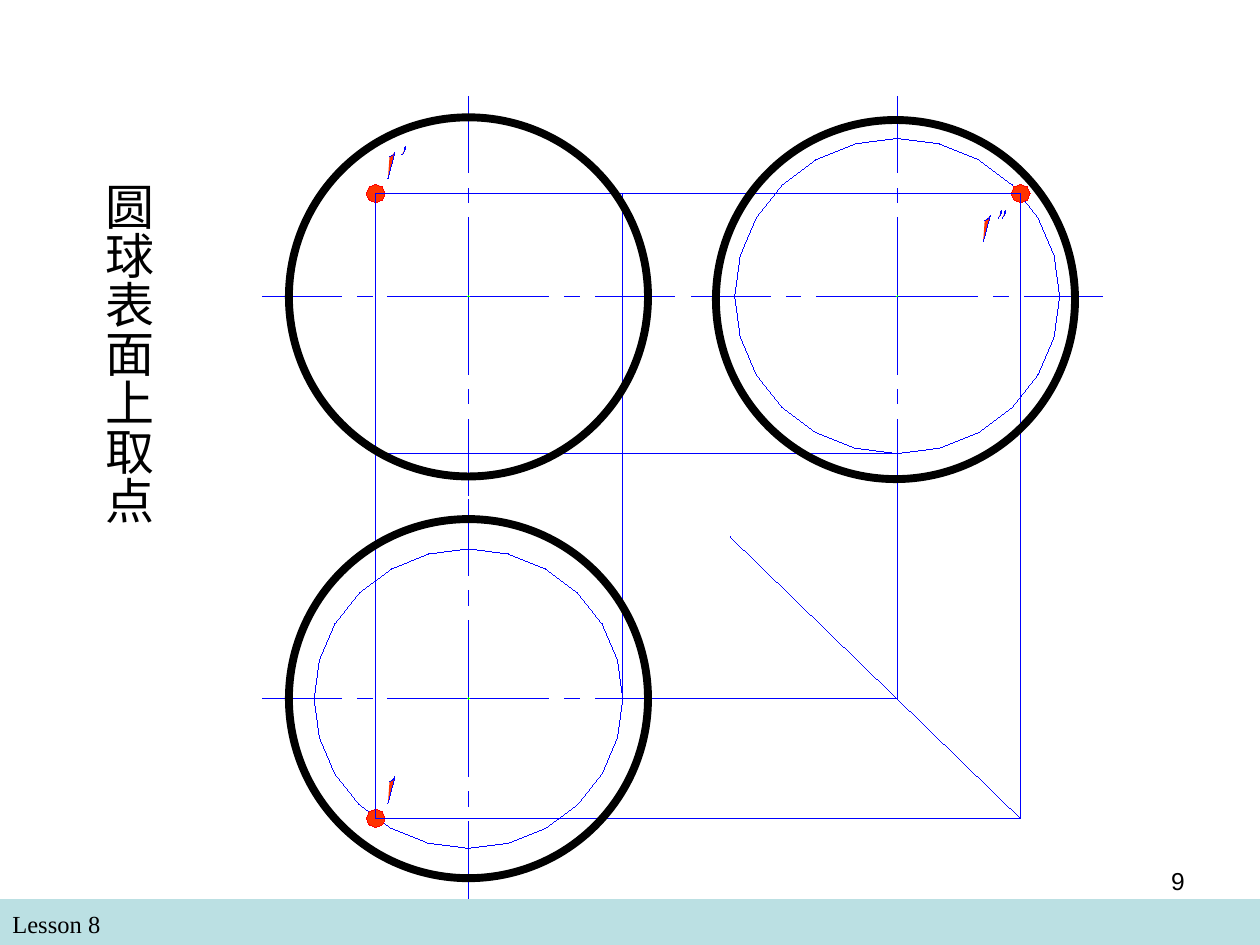
from collections import namedtuple
from dataclasses import dataclass
from math import cos, hypot, pi, sin

from lxml.etree import SubElement
from pptx import Presentation
from pptx.dml.color import RGBColor as RGB
from pptx.enum.shapes import MSO_CONNECTOR as Connector, MSO_SHAPE as Shape
from pptx.enum.text import PP_ALIGN as Align
from pptx.oxml.ns import qn
from pptx.util import Pt

Box = namedtuple("Box", "left top width height")
Point = namedtuple("Point", "x y")


@dataclass(frozen=True)
class Theme:
    band: RGB = RGB(0xBB, 0xE0, 0xE3)
    ink: RGB = RGB(0, 0, 0)
    thin: RGB = RGB(0, 0, 0xFF)
    centre: RGB = RGB(0, 0xFF, 0)
    mark: RGB = RGB(0xFF, 0x33, 0)
    mark_edge: RGB = RGB(0xFF, 0, 0)
    hairline: float = 0.01     # a width of 0 would not be written
    outline: float = 4.5
    small: float = 14
    title: float = 28
    sans: str = "Arial"
    serif: str = "Times New Roman"


THEME = Theme()

# Geometry of the sphere views
ASPECT = 0.97                  # vertical scale against horizontal
RADIUS = 102.6
AXIS_REACH = 117.5
DASHES = [(1, 46), (55, 63.5), (72.5, 117.5)]
POINT_LEFT, POINT_UP, POINT_FORWARD = 53, 60.4, 70.5
DOT_RADIUS = 5.4
NUMERAL = [(0.9, 2.7), (2.4, 1.8), (4, 0), (0, 15)]
PRIME = [(2, 0.6), (1.3, 1.4), (1.3, 0.6), (2, 0), (2, 0.6),
         (1.6, 2), (0.8, 3.4), (0, 4.4)]


def move(point, right, down):
    """Shift a point, with the vertical scale applied."""
    return Point(point.x + right, point.y + down * ASPECT)


def style(shape, fill=None, line=None, width=THEME.hairline):
    shape.shadow.inherit = False
    if fill is None:
        shape.fill.background()
    else:
        shape.fill.solid()
        shape.fill.fore_color.rgb = fill
    if line is None:
        shape.line.fill.background()
    else:
        shape.line.color.rgb = line
        shape.line.width = Pt(width)


def add_line(slide, start, end, color=THEME.thin):
    line = slide.shapes.add_connector(
        Connector.STRAIGHT, *(Pt(value) for value in (*start, *end)))
    line.line.color.rgb = color
    line.line.width = Pt(THEME.hairline)
    SubElement(line._element.spPr, qn("a:effectLst"))


def add_outline(slide, points, close, **look):
    corners = [(Pt(x), Pt(y)) for x, y in points]
    builder = slide.shapes.build_freeform(*corners[0])
    builder.add_line_segments(corners[1:], close=close)
    style(builder.convert_to_shape(), **look)


def add_polygon(slide, centre, radius, sides, **look):
    angles = [2 * pi * step / sides for step in range(sides)]
    points = [move(centre, radius * cos(a), -radius * sin(a)) for a in angles]
    add_outline(slide, points, True, **look)


def add_text(slide, box, text, insets, align=Align.LEFT, vertical=False, **font):
    shape = slide.shapes.add_textbox(*(Pt(value) for value in box))
    frame = shape.text_frame
    frame.word_wrap = True
    for side, value in zip(("left", "top", "right", "bottom"), insets):
        setattr(frame, f"margin_{side}", Pt(value))
    if vertical:
        frame._txBody.bodyPr.set("vert", "eaVert")
    paragraph = frame.paragraphs[0]
    paragraph.alignment = align
    run = paragraph.add_run()
    run.text = text
    run.font.color.rgb = THEME.ink
    for name, value in font.items():
        setattr(run.font, name, value)


def add_axes(slide, centre):
    """Dashed centre lines with a small cross in the middle."""
    for right, down in ((1, 0), (-1, 0), (0, 1), (0, -1)):
        for near, far in DASHES:
            add_line(slide, move(centre, right * near, down * near),
                     move(centre, right * far, down * far))
    for right, down in ((0.4, 0), (0, 0.4)):
        add_line(slide, move(centre, -right, -down),
                 move(centre, right, down), THEME.centre)


def add_mark(slide, point, label_offset, prime_offsets):
    """Point with its numeral and its primes."""
    add_polygon(slide, point, DOT_RADIUS, 8, fill=THEME.mark, line=THEME.mark_edge)
    left, top = point.x + label_offset[0], point.y + label_offset[1]
    strokes = [(NUMERAL, 0, 0)] + [(PRIME, offset, -3) for offset in prime_offsets]
    for stroke, right, down in strokes:
        points = [(left + right + x, top + down + y) for x, y in stroke]
        add_outline(slide, points, False, fill=THEME.mark, line=THEME.thin)


def add_ring(slide, centre, shift=(0, 0)):
    left, top = centre.x + shift[0] - RADIUS, centre.y + shift[1] - RADIUS
    ring = slide.shapes.add_shape(
        Shape.OVAL, Pt(left), Pt(top), Pt(2 * RADIUS), Pt(2 * RADIUS))
    style(ring, line=THEME.ink, width=THEME.outline)


def add_projections(slide, box):
    """Three views of the sphere and the lines between them."""
    reach_y = AXIS_REACH * ASPECT
    front = Point(box.left + AXIS_REACH, box.top + reach_y)
    side = Point(box.left + box.width - AXIS_REACH, front.y)
    plan = Point(front.x, box.top + box.height - reach_y)
    corner = Point(side.x, plan.y)

    front_point = move(front, -POINT_LEFT, -POINT_UP)
    plan_point = move(plan, -POINT_LEFT, POINT_FORWARD)
    side_point = move(side, POINT_FORWARD, -POINT_UP)
    mitre_end = Point(side_point.x, plan_point.y)
    plan_radius = hypot(POINT_LEFT, POINT_FORWARD)
    side_radius = hypot(POINT_UP, POINT_FORWARD)
    plan_edge = move(plan, plan_radius, 0)
    side_edge = move(side, 0, side_radius)

    # Auxiliary circles
    add_polygon(slide, plan, plan_radius, 24, line=THEME.thin)
    add_polygon(slide, side, side_radius, 24, line=THEME.thin)

    # Marked points
    add_mark(slide, plan_point, (7, -23.7), [])
    add_mark(slide, front_point, (7, -23.7), [8])
    add_mark(slide, side_point, (-21.4, 12.7), [8.5, 10.8])

    # Projection lines and mitre line
    for start, end in [
        (plan_point, mitre_end),
        (front_point, plan_point),
        (front_point, side_point),
        (side_point, mitre_end),
        (Point(plan_edge.x, front_point.y), plan_edge),
        (Point(front_point.x, side_edge.y), side_edge),
        (move(plan, AXIS_REACH, 0), corner),
        (move(side, 0, AXIS_REACH), corner),
        (move(corner, -95.5, -95.5), mitre_end),
    ]:
        add_line(slide, start, end)

    # Axes and sphere outlines
    for centre in (front, plan, side):
        add_axes(slide, centre)
    add_ring(slide, plan)
    add_ring(slide, side, (-1, 2))
    add_ring(slide, front, (0, 0.5))


def add_footer(slide, box):
    band = slide.shapes.add_shape(Shape.RECTANGLE, *(Pt(value) for value in box))
    style(band, fill=THEME.band)
    insets = (7.2, 3.6, 7.2, 3.6)
    add_text(slide, Box(box.left, box.top + 2.2, 348, 24.5), "Lesson 8", insets,
             size=Pt(THEME.small), name=THEME.serif)
    add_text(slide, Box(box.left + 516, box.top - 22.3, 168, 37.4), "9", insets,
             Align.RIGHT, size=Pt(THEME.small), name=THEME.sans)


def add_title(slide, box):
    add_text(slide, box, "圆球表面上取点", (3.6, 7.2, 3.6, 7.2),
             vertical=True, size=Pt(THEME.title), name=THEME.sans)


def main():
    presentation = Presentation()
    presentation.slide_width, presentation.slide_height = Pt(720), Pt(540)
    slide = presentation.slides.add_slide(presentation.slide_layouts[6])
    add_footer(slide, Box(0, 513.8, 720, 26.2))
    add_projections(slide, Box(150.2, 55.2, 480, 458))
    add_title(slide, Box(46, 97, 47.5, 220))
    presentation.save("out.pptx")


if __name__ == "__main__":
    main()
